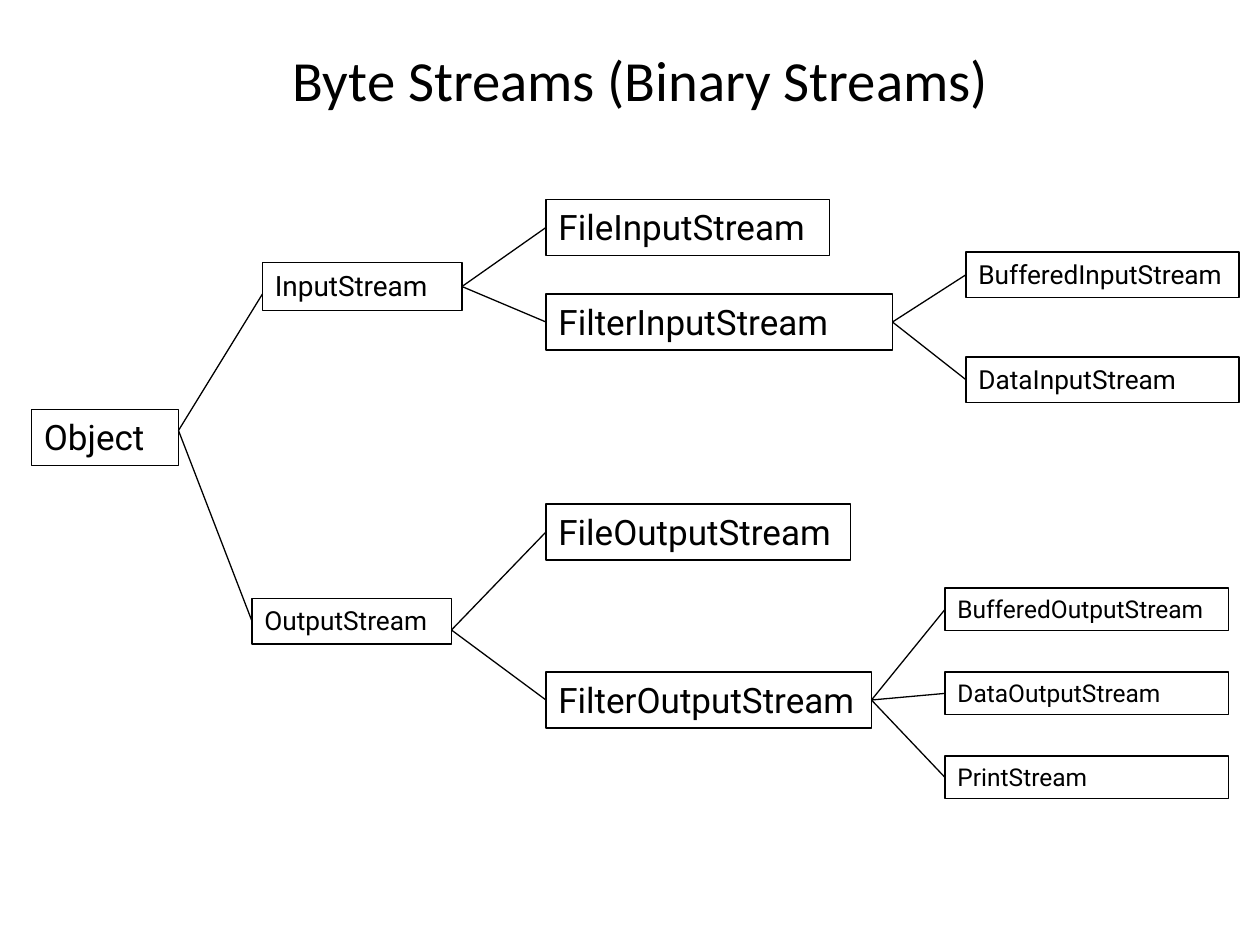
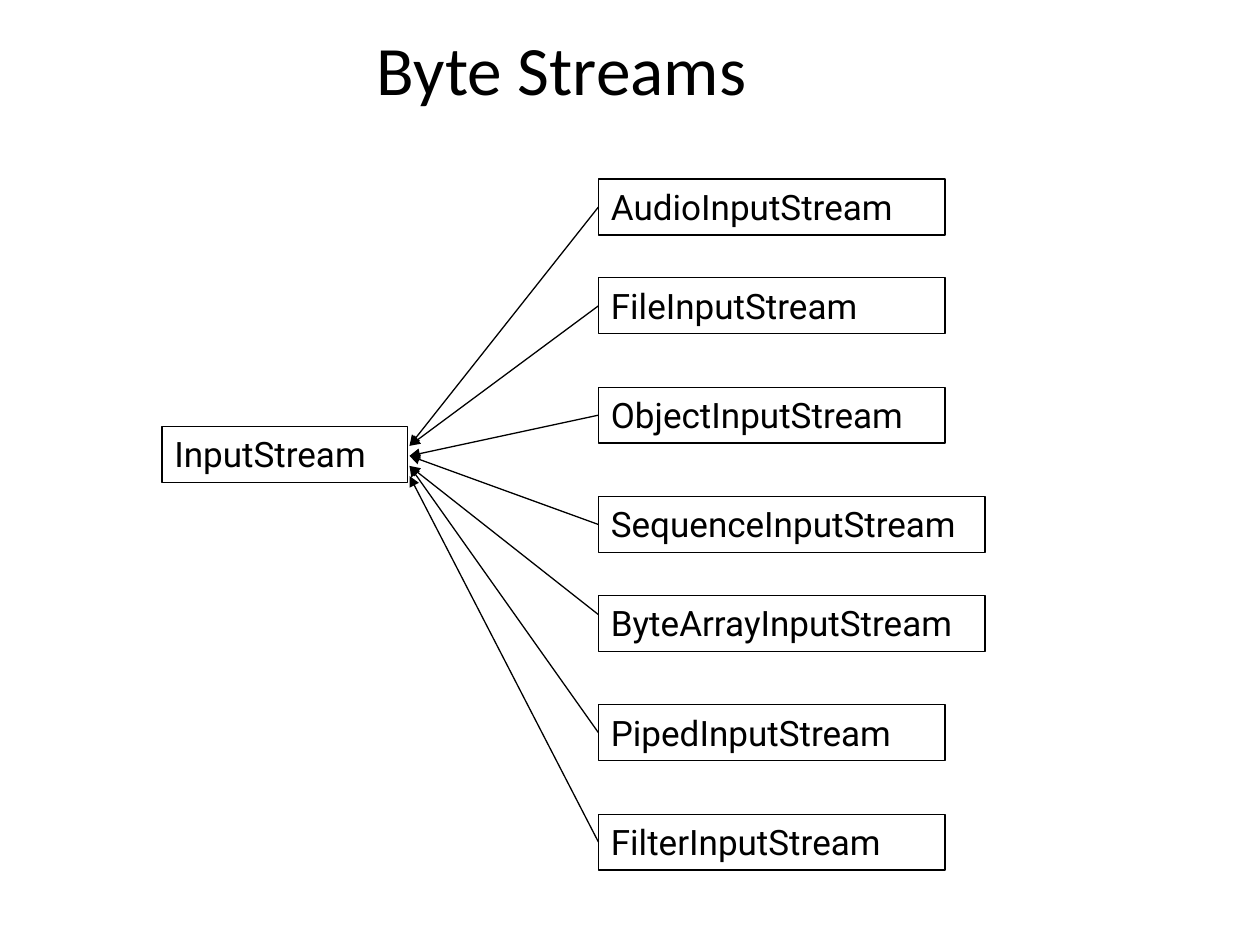
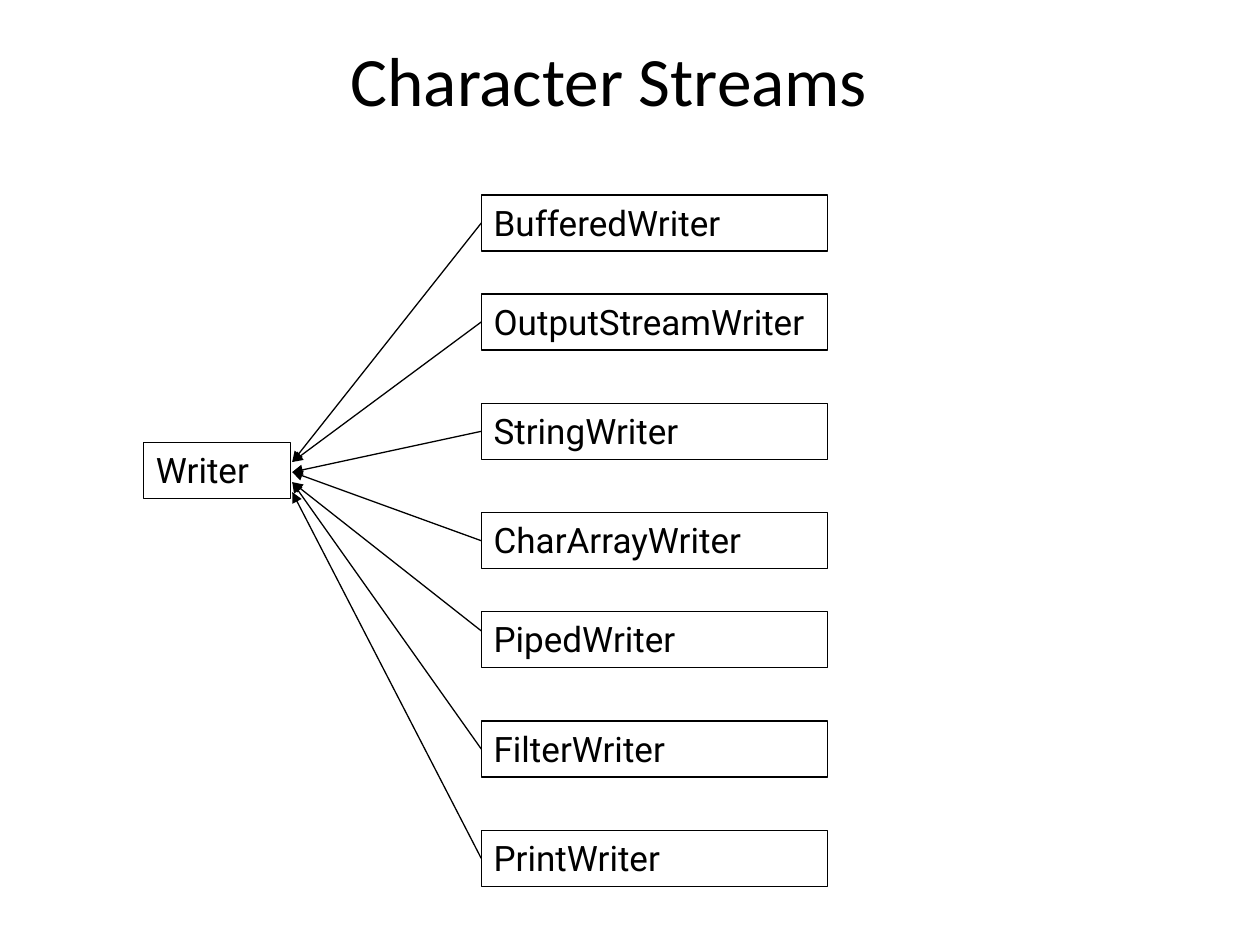
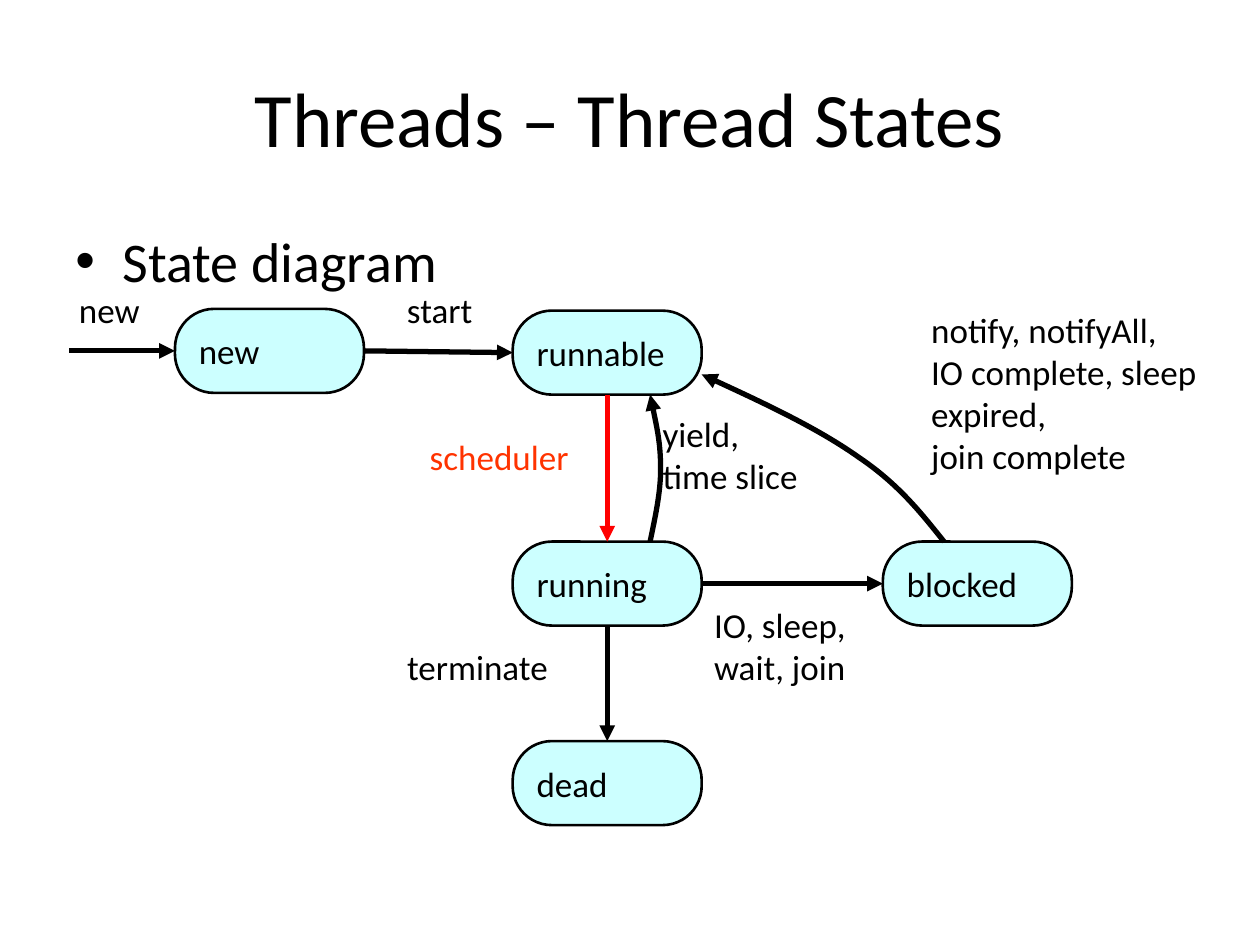
from itertools import accumulate

from pptx import Presentation
from pptx.dml.color import RGBColor
from pptx.enum.shapes import MSO_CONNECTOR as CONN, MSO_SHAPE as SHAPE
from pptx.enum.text import MSO_ANCHOR as ANCHOR, MSO_AUTO_SIZE as AUTO, PP_ALIGN as ALIGN
from pptx.oxml.ns import qn
from pptx.util import Pt

COLORS = {"ink": "000000", "state": "CCFFFF", "arrow": "FF0000", "scheduler": "FF3300"}
CLASS_FONT, TEXT_FONT = "Roboto", "Calibri"
BOX_HEIGHTS = {20: 32, 16: 27.5, 15: 26, 14: 24.5}
TOP, LEFT, BOTTOM, RIGHT = range(4)
JOIN_TOLERANCE = Pt(2.5)

CLASS_BOXES = [
    ("Object", 18, 234, 84, 20),
    ("InputStream", 150, 150, 114, 16),
    ("OutputStream", 144, 342, 114, 15),
    ("FileInputStream", 312, 114, 162, 20),
    ("FilterInputStream", 312, 168, 198, 20),
    ("FileOutputStream", 312, 288, 174, 20),
    ("FilterOutputStream", 312, 384, 186, 20),
    ("BufferedInputStream", 552, 144, 156, 15),
    ("DataInputStream", 552, 204, 156, 15),
    ("BufferedOutputStream", 540, 336, 162, 14),
    ("DataOutputStream", 540, 384, 162, 14),
    ("PrintStream", 540, 432, 162, 14),
]
CLASS_TREE = [
    ("Object", 246, {"InputStream": 168, "OutputStream": 354}),
    ("InputStream", 162, {"FileInputStream": 132, "FilterInputStream": 186}),
    ("OutputStream", 360, {"FileOutputStream": 306, "FilterOutputStream": 402}),
    ("FilterInputStream", 186, {"BufferedInputStream": 156, "DataInputStream": 216}),
    ("FilterOutputStream", 402,
     {"BufferedOutputStream": 348, "DataOutputStream": 396, "PrintStream": 444}),
]
INPUT_STREAMS = ["AudioInputStream", "FileInputStream", "ObjectInputStream",
                 "SequenceInputStream", "ByteArrayInputStream", "PipedInputStream",
                 "FilterInputStream"]
WRITERS = ["BufferedWriter", "OutputStreamWriter", "StringWriter", "CharArrayWriter",
           "PipedWriter", "FilterWriter", "PrintWriter"]
FAN_STEPS = [0, 56.5, 62.5, 62.5, 56.5, 62.5, 62.5]
FAN_JOINTS = [16.5, 16.5, 16.5, 16.5, 11, 16.5, 16.5]

STATES = {"new": (100, 176.5), "runnable": (293, 177.5), "running": (293, 309.5),
          "blocked": (504.5, 309.5), "dead": (293, 423.5)}
TRANSITIONS = [
    ("new", RIGHT, "runnable", LEFT, "ink"),
    ("runnable", BOTTOM, "running", TOP, "arrow"),
    ("running", RIGHT, "blocked", LEFT, "ink"),
    ("running", BOTTOM, "dead", TOP, "ink"),
]
CURVES = [
    [(371.5, 309.5), (374.5, 295), (377.5, 281.5), (377.5, 268),
     (377.5, 253.5), (374.5, 240), (371.5, 225.5)],
    [(539.5, 309.5), (527, 294), (514, 277), (491, 261.5),
     (468.5, 245.5), (435, 229.5), (401, 214)],
]
LABELS = [
    (["new"], 38, 161.5, 53.5, 31, "ink"),
    (["start"], 225.5, 161.5, 57.5, 31, "ink"),
    (["scheduler"], 238.5, 245.5, 108.5, 31, "scheduler"),
    (["terminate"], 225.5, 365.5, 104.5, 31, "ink"),
    (["IO, sleep,", "wait, join"], 401, 341.5, 103, 55.5, "ink"),
    (["yield,", "time slice"], 371.5, 232, 96, 79, "ink"),
    (["notify, notifyAll,", "IO complete, sleep expired,", "join complete"],
     525, 173, 175.5, 103, "ink"),
]


def rgb(name):
    return RGBColor.from_string(COLORS[name])


def assign(target, **values):
    for name, value in values.items():
        setattr(target, name, value)


def write(sp, lines, size, font, color="ink", align=ALIGN.LEFT, **frame):
    tf = sp.text_frame
    assign(tf, word_wrap=True, **frame)
    for i, line in enumerate(lines):
        p = tf.add_paragraph() if i else tf.paragraphs[0]
        p.alignment = align
        r = p.add_run()
        r.text = line
        assign(r.font, size=Pt(size), name=font)
        r.font.color.rgb = rgb(color)


def add_text(s, lines, x, y, w, h, size, **style):
    sp = s.shapes.add_textbox(Pt(x), Pt(y), Pt(w), Pt(h))
    write(sp, lines, size, TEXT_FONT, **style)
    return sp


def add_title(s, text, x, y, w, h, size):
    add_text(s, [text], x, y, w, h, size, align=ALIGN.CENTER, vertical_anchor=ANCHOR.MIDDLE)


def set_line(sp, width, color="ink", **ends):
    sp.line.width = Pt(width)
    sp.line.color.rgb = rgb(color)
    ln = sp.line._get_or_add_ln()
    for end, kind in ends.items():
        ln.append(ln.makeelement(qn(f"a:{end}"), {"type": kind}))


def add_shape(s, kind, x, y, w, h, line_width, fill=None):
    sp = s.shapes.add_shape(kind, Pt(x), Pt(y), Pt(w), Pt(h))
    sp.shadow.inherit = False
    if fill:
        sp.fill.solid()
        sp.fill.fore_color.rgb = rgb(fill)
    else:
        sp.fill.background()
    set_line(sp, line_width)
    return sp


def add_class_box(s, name, x, y, w, size=20):
    sp = add_shape(s, SHAPE.RECTANGLE, x, y, w, BOX_HEIGHTS[size], 0.75)
    write(sp, [name], size, CLASS_FONT, vertical_anchor=ANCHOR.TOP,
          auto_size=AUTO.SHAPE_TO_FIT_TEXT)
    return sp


def add_state(s, name, x, y):
    sp = add_shape(s, SHAPE.ROUNDED_RECTANGLE, x, y, 108, 48, 1.5, "state")
    sp.adjustments[0] = 0.466
    write(sp, [name], 20, TEXT_FONT, vertical_anchor=ANCHOR.MIDDLE)
    return sp


def add_link(s, start=(0, 0), end=(0, 0), width=0.75, color="ink", **ends):
    c = s.shapes.add_connector(CONN.STRAIGHT, *(Pt(v) for v in (*start, *end)))
    set_line(c, width, color, **ends)
    props = c._element.spPr
    props.append(props.makeelement(qn("a:effectLst"), {}))
    return c


def join_near_middle(connect, box, site, y):
    if abs(box.top + box.height / 2 - Pt(y)) <= JOIN_TOLERANCE:
        connect(box, site)


def add_curve(s, points):
    start, *rest = [(Pt(x), Pt(y)) for x, y in points]
    builder = s.shapes.build_freeform(*start)
    builder.add_line_segments(rest, close=False)
    sp = builder.convert_to_shape()
    sp.shadow.inherit = False
    sp.fill.background()
    set_line(sp, 3, tailEnd="triangle")
    segments = sp._element.xpath(".//a:lnTo")
    for i in range(0, len(segments), 3):
        bezier = segments[i].makeelement(qn("a:cubicBezTo"), {})
        segments[i].addprevious(bezier)
        for segment in segments[i:i + 3]:
            bezier.append(segment[0])
            segment.getparent().remove(segment)


def add_bullet(p, indent):
    props = p._p.get_or_add_pPr()
    props.set("marL", str(Pt(indent)))
    props.set("indent", str(-Pt(indent)))
    props.append(props.makeelement(qn("a:buFont"), {"typeface": "Arial"}))
    props.append(props.makeelement(qn("a:buChar"), {"char": "•"}))


def class_tree_slide(s):
    add_title(s, "Byte Streams (Binary Streams)", 84, 24, 564, 42, 32.4)
    boxes = {box[0]: add_class_box(s, *box) for box in CLASS_BOXES}
    for parent, start_y, children in CLASS_TREE:
        source = boxes[parent]
        start_x = (source.left + source.width) / Pt(1)
        for child, end_y in children.items():
            target = boxes[child]
            c = add_link(s, (start_x, start_y), (target.left / Pt(1), end_y))
            join_near_middle(c.begin_connect, source, RIGHT, start_y)
            join_near_middle(c.end_connect, target, LEFT, end_y)


def fan_slide(s, root, root_x, root_w, names, x, top, wide=()):
    add_class_box(s, root, root_x, top + 141.5, root_w)
    for i, (name, offset) in enumerate(zip(names, accumulate(FAN_STEPS))):
        y = top + offset
        box = add_class_box(s, name, x, y, 221 if name in wide else 198)
        end_y = y + FAN_JOINTS[i]
        c = add_link(s, (x - 108, top + 152.5 + 5.75 * (i // 2)), (x, end_y),
                     headEnd="triangle")
        join_near_middle(c.end_connect, box, LEFT, end_y)


def thread_slide(s):
    add_title(s, "Threads – Thread States", 36, 21.5, 648, 90, 44)
    body = add_text(s, ["State diagram"], 36, 126, 648, 356.5, 32)
    add_bullet(body.text_frame.paragraphs[0], 27)
    states = {name: add_state(s, name, *at) for name, at in STATES.items()}
    for source, out_site, target, in_site, color in TRANSITIONS:
        c = add_link(s, width=3, color=color, tailEnd="triangle")
        c.begin_connect(states[source], out_site)
        c.end_connect(states[target], in_site)
    entry = add_link(s, (39.5, 200.5), (100, 200.5), 3, tailEnd="triangle")
    entry.end_connect(states["new"], LEFT)
    for points in CURVES:
        add_curve(s, points)
    for lines, x, y, w, h, color in LABELS:
        add_text(s, lines, x, y, w, h, 20, color=color, auto_size=AUTO.SHAPE_TO_FIT_TEXT)


def main():
    prs = Presentation()
    assign(prs, slide_width=Pt(720), slide_height=Pt(540))
    tree, inputs, writers, threads = (
        prs.slides.add_slide(prs.slide_layouts[6]) for _ in range(4))
    class_tree_slide(tree)
    add_title(inputs, "Byte Streams", 180, 18, 282, 42, 39.6)
    fan_slide(inputs, "InputStream", 92.5, 140.5, INPUT_STREAMS, 342, 102.25,
              wide=("SequenceInputStream", "ByteArrayInputStream"))
    add_title(writers, "Character Streams", 126, 24, 444, 42, 39.6)
    fan_slide(writers, "Writer", 82, 84, WRITERS, 275, 111.5)
    thread_slide(threads)
    prs.save("out.pptx")


if __name__ == "__main__":
    main()
